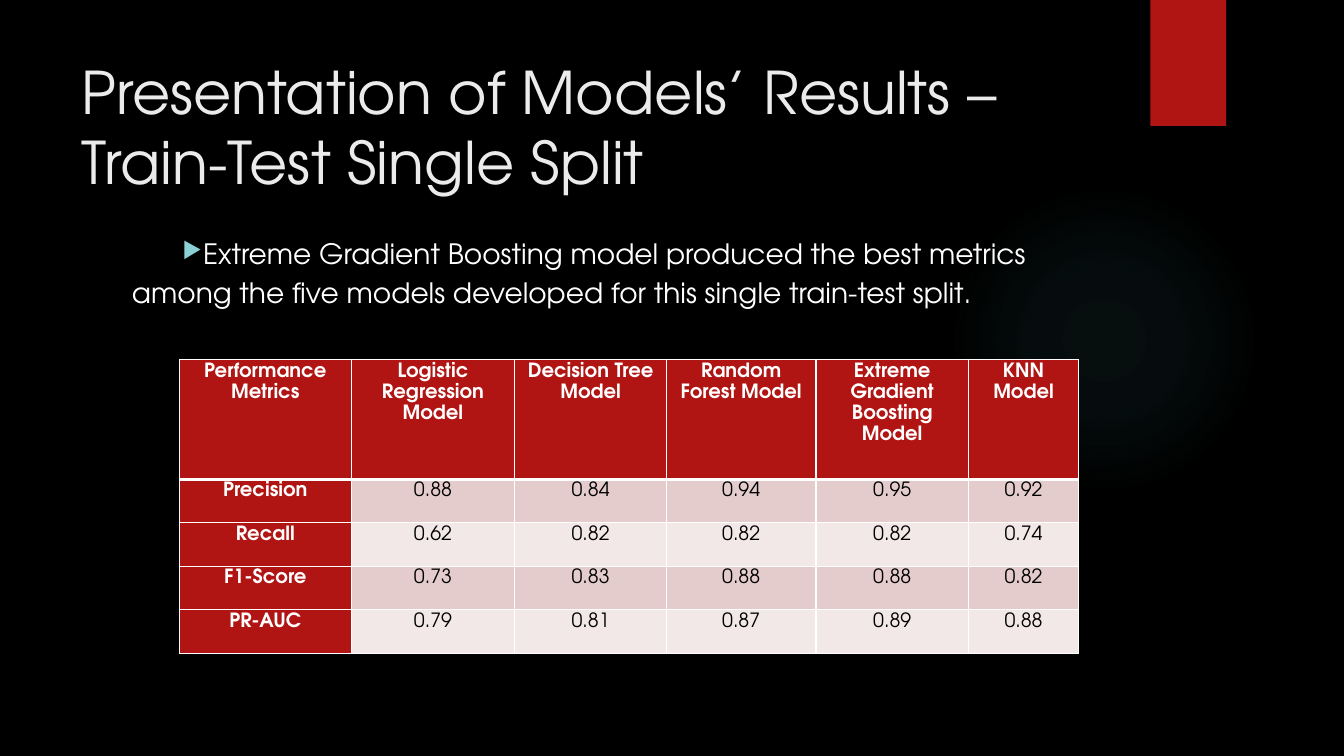
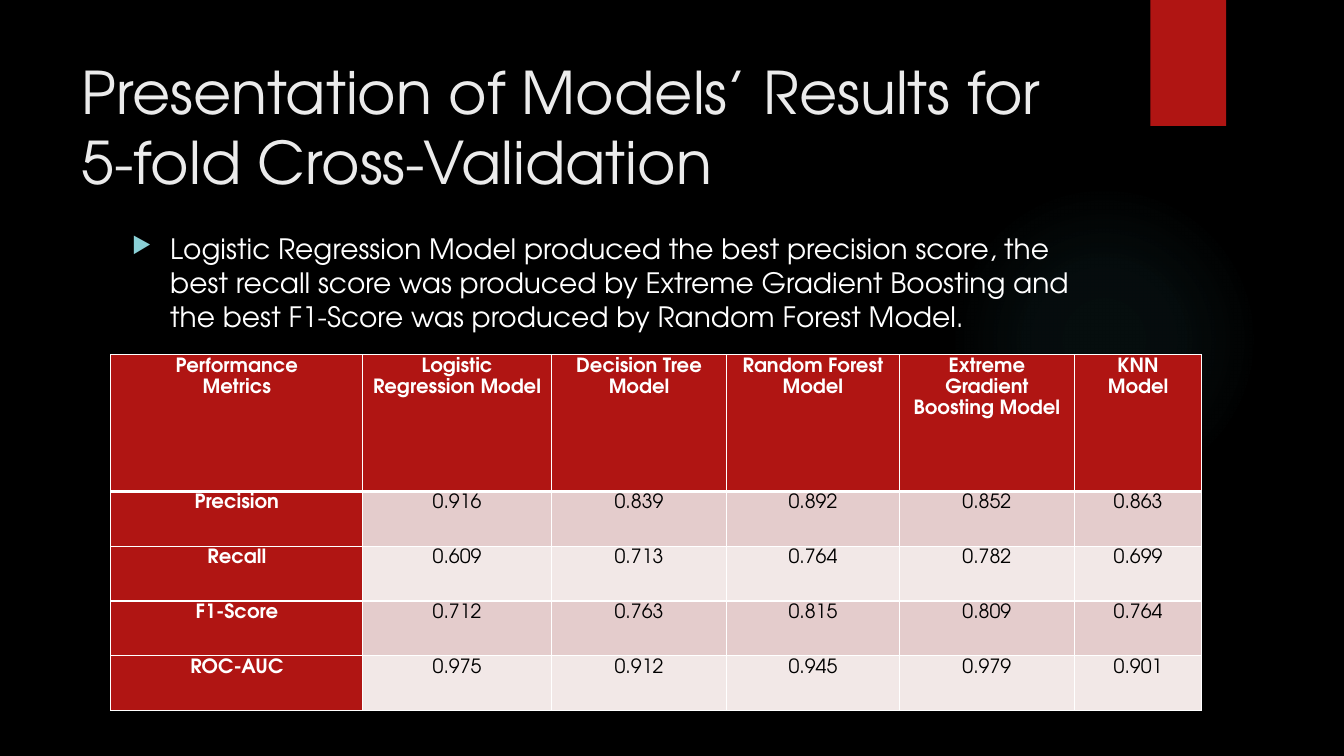
from lxml import etree
from pptx import Presentation, util as u
from pptx.dml.color import RGBColor
from pptx.enum import shapes, text
from pptx.oxml import parse_xml
from pptx.oxml.ns import nsdecls, qn

FONT = "TeX Gyre Adventor"
BLACK, WHITE, TITLE, RED = "000000", "FFFFFF", "EBEBEB", "B01513"
GLOW, BULLET = "50B9C1", "8AD0D6"
BANDS = ["E4CCCC", "F2E8E7"]

HEADINGS = ["Performance\nMetrics", "Logistic\nRegression Model", "Decision Tree Model",
            "Random Forest Model", "Extreme Gradient Boosting Model", "KNN\nModel"]
# Tables: place in percent of the slide, column weights, header height in body rows
RESULTS = [
    dict(
        title="Presentation of Models’ Results – Train-Test Single Split",
        finding="Extreme Gradient Boosting model produced the best metrics among the "
                "five models developed for this single train-test split.",
        margin=0, indent=0.5, line_spacing=1.15, before=0, after=10,
        place=(13.35, 47.6, 66.92, 38.8),
        columns=[1.7, 1.62, 1.5, 1.48, 1.51, 1.09], header=2.75,
        scores=[["Precision", "0.88", "0.84", "0.94", "0.95", "0.92"],
                ["Recall", "0.62", "0.82", "0.82", "0.82", "0.74"],
                ["F1-Score", "0.73", "0.83", "0.88", "0.88", "0.82"],
                ["PR-AUC", "0.79", "0.81", "0.87", "0.89", "0.88"]]),
    dict(
        title="Presentation of Models’ Results for 5-fold Cross-Validation",
        finding="Logistic Regression Model produced the best precision score, the best "
                "recall score was produced by Extreme Gradient Boosting and the best "
                "F1-Score was produced by Random Forest Model.",
        margin=0.38, indent=-0.38, line_spacing=1.0, before=10, after=0,
        place=(8.25, 46.93, 81.17, 47.07),
        columns=[2.5, 1.87, 1.74, 1.71, 1.74, 1.26], header=2.5,
        scores=[["Precision", "0.916", "0.839", "0.892", "0.852", "0.863"],
                ["Recall", "0.609", "0.713", "0.764", "0.782", "0.699"],
                ["F1-Score", "0.712", "0.763", "0.815", "0.809", "0.764"],
                ["ROC-AUC", "0.975", "0.912", "0.945", "0.979", "0.901"]]),
]

prs = Presentation()
prs.slide_width, prs.slide_height = u.Inches(13.33), u.Inches(7.5)
backdrop = prs.slide_master.background.fill
backdrop.solid()
backdrop.fore_color.rgb = RGBColor.from_string(BLACK)


def share(left, top, width, height):
    """Turn percentages of the slide into lengths."""
    sides = (prs.slide_width, prs.slide_height) * 2
    return [int(side * part / 100) for side, part in zip(sides, (left, top, width, height))]


def write(paragraph, words, size, color, bold=False):
    run = paragraph.add_run()
    run.text = words
    run.font.name, run.font.size, run.font.bold = FONT, u.Pt(size), bold
    run.font.color.rgb = RGBColor.from_string(color)


for result in RESULTS:
    slide = prs.slides.add_slide(prs.slide_layouts[6])

    # Soft glow and red tab
    glow = slide.shapes.add_shape(shapes.MSO_SHAPE.OVAL, *share(70.59, 24.4, 23.11, 41.07))
    glow.shadow.inherit = False
    glow.line.fill.background()
    stops = "".join(
        f'<a:gs pos="{pos}000"><a:srgbClr val="{GLOW}"><a:alpha val="{alpha}000"/></a:srgbClr></a:gs>'
        for pos, alpha in [(0, 7), (36, 6), (69, 0)])
    glow.element.spPr.find(qn("a:prstGeom")).addnext(parse_xml(
        f'<a:gradFill {nsdecls("a")}><a:gsLst>{stops}</a:gsLst><a:path path="circle">'
        '<a:fillToRect l="50000" t="50000" r="50000" b="50000"/></a:path></a:gradFill>'))

    tab = slide.shapes.add_shape(shapes.MSO_SHAPE.RECTANGLE, *share(85.6, 0, 5.63, 16.67))
    tab.fill.solid()
    tab.fill.fore_color.rgb = RGBColor.from_string(RED)
    tab.line.fill.background()
    tab.shadow.inherit = False
    tab.element.spPr.find(qn("a:effectLst")).append(parse_xml(
        f'<a:outerShdw {nsdecls("a")} blurRad="{u.Pt(3)}" dist="{u.Pt(2)}" dir="5400000">'
        f'<a:srgbClr val="{BLACK}"><a:alpha val="45000"/></a:srgbClr></a:outerShdw>'))

    # Title and main finding
    title = slide.shapes.add_textbox(*share(5.33, 6.67, 77.19, 20.4)).text_frame
    title.word_wrap = True
    write(title.paragraphs[0], result["title"], 42, TITLE)

    finding = slide.shapes.add_textbox(*share(9.08, 30, 73.37, 61.2)).text_frame
    finding.word_wrap = True
    point = finding.paragraphs[0]
    point.line_spacing = result["line_spacing"]
    point.space_before, point.space_after = u.Pt(result["before"]), u.Pt(result["after"])
    point_format = point._p.get_or_add_pPr()
    point_format.set("marL", str(u.Inches(result["margin"])))
    point_format.set("indent", str(u.Inches(result["indent"])))
    bullet_color = etree.SubElement(point_format, qn("a:buClr"))
    etree.SubElement(bullet_color, qn("a:srgbClr"), val=BULLET)
    etree.SubElement(point_format, qn("a:buSzPct"), val="80000")
    etree.SubElement(point_format, qn("a:buChar"), char="▶")
    write(point, result["finding"], 20, WHITE)

    # Score table
    rows = [HEADINGS] + result["scores"]
    left, top, width, height = share(*result["place"])
    table = slide.shapes.add_table(len(rows), len(HEADINGS), left, top, width, height).table
    table.first_row = table.horz_banding = False
    for column, weight in zip(table.columns, result["columns"]):
        column.width = int(width * weight / sum(result["columns"]))
    row_height = height / (result["header"] + len(result["scores"]))
    for r, row in enumerate(rows):
        table.rows[r].height = int(row_height * (1 if r else result["header"]))
        for c, words in enumerate(row):
            cell = table.cell(r, c)
            label = r == 0 or c == 0
            cell.margin_left = cell.margin_right = u.Inches(0.07)
            cell.margin_top = cell.margin_bottom = 0
            for side in "LRTB":
                thick = (r, side) in [(0, "B"), (1, "T")]
                border = etree.SubElement(cell._tc.get_or_add_tcPr(), qn(f"a:ln{side}"),
                                          w=str(u.Pt(3 if thick else 1)))
                border_fill = etree.SubElement(border, qn("a:solidFill"))
                etree.SubElement(border_fill, qn("a:srgbClr"), val=WHITE)
            cell.fill.solid()
            cell.fill.fore_color.rgb = RGBColor.from_string(RED if label else BANDS[(r - 1) % 2])
            for i, line in enumerate(words.split("\n")):
                frame = cell.text_frame
                paragraph = frame.add_paragraph() if i else frame.paragraphs[0]
                paragraph.alignment = text.PP_ALIGN.CENTER
                paragraph.line_spacing = u.Pt(15)
                write(paragraph, line, 14, WHITE if label else BLACK, label)

prs.save("out.pptx")
